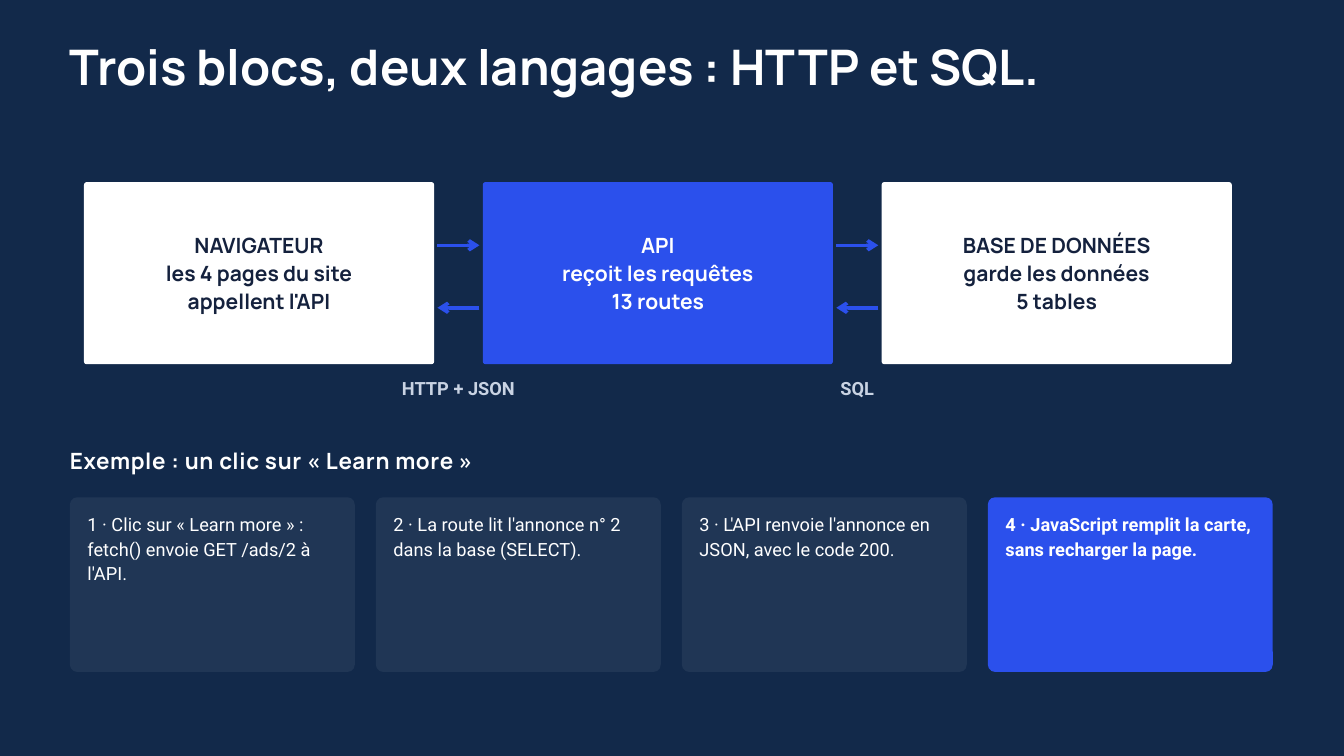
from dataclasses import dataclass

import pptx
import pptx.dml.color
import pptx.enum.shapes
import pptx.enum.text
import pptx.oxml.ns
import pptx.util
from lxml import etree

Inches = pptx.util.Inches
Pt = pptx.util.Pt
Align = pptx.enum.text.PP_ALIGN
Anchor = pptx.enum.text.MSO_ANCHOR


@dataclass(frozen=True)
class Theme:
    """Colours, fonts and type sizes of the slide."""
    page: str = "12294A"
    white: str = "FFFFFF"
    ink: str = "14213D"
    accent: str = "2B50EC"
    card: str = "203655"
    caption: str = "C9D3E3"
    display: str = "Manrope"
    body: str = "Roboto"
    title_size: float = 52.5
    heading_size: float = 24
    block_size: float = 22.5
    body_size: float = 19.5


THEME = Theme()


def rgb(colour):
    """Return a colour object for a hex string."""
    return pptx.dml.color.RGBColor.from_string(colour)


def write(frame, lines, font, size, colour, leading, bold=True,
          align=Align.LEFT, anchor=Anchor.TOP, insets=(0, 0, 0, 0)):
    """Fill a text frame with equally formatted paragraphs."""
    frame.word_wrap = True
    frame.auto_size = pptx.enum.text.MSO_AUTO_SIZE.NONE
    frame.vertical_anchor = anchor
    (frame.margin_left, frame.margin_top,
     frame.margin_right, frame.margin_bottom) = map(Inches, insets)
    frame.text = "\n".join(lines)
    for para in frame.paragraphs:
        para.alignment = align
        para.line_spacing = Pt(leading)
        para.space_before = Pt(0)
        para.font.name = font
        para.font.size = Pt(size)
        para.font.bold = bold
        para.font.color.rgb = rgb(colour)


def add_panel(page, box, fill, radius):
    """Add a plain rounded rectangle with a corner radius in inches."""
    panel = page.shapes.add_shape(
        pptx.enum.shapes.MSO_SHAPE.ROUNDED_RECTANGLE, *map(Inches, box))
    panel.adjustments[0] = radius / min(box[2:])
    panel.shadow.inherit = False
    panel.fill.solid()
    panel.fill.fore_color.rgb = rgb(fill)
    panel.line.fill.background()
    return panel


def add_arrow(page, start, end, y):
    """Add a horizontal arrow that points at its end."""
    arrow = page.shapes.add_connector(
        pptx.enum.shapes.MSO_CONNECTOR.STRAIGHT,
        Inches(start), Inches(y), Inches(end), Inches(y))
    arrow.line.color.rgb = rgb(THEME.accent)
    arrow.line.width = Pt(3.75)
    qn = pptx.oxml.ns.qn
    etree.SubElement(arrow.line._get_or_add_ln(), qn("a:tailEnd"), type="arrow")
    etree.SubElement(arrow._element.spPr, qn("a:effectLst"))


def add_title(page, box, text):
    """Place and format the title placeholder."""
    title = page.shapes.title
    title.left, title.top, title.width, title.height = map(Inches, box)
    write(title.text_frame, [text], THEME.display, THEME.title_size,
          THEME.white, 55.1)


def add_heading(page, box, text):
    """Add the letter-spaced heading above the steps."""
    heading = page.shapes.add_textbox(*map(Inches, box))
    write(heading.text_frame, [text], THEME.display, THEME.heading_size,
          THEME.white, 33.6)
    for span in heading.text_frame.paragraphs[0].runs:
        span._r.get_or_add_rPr().set("spc", "70")


def add_architecture(page, box, blocks, protocols):
    """Add a row of blocks with paired arrows and a caption at each gap."""
    left, top, width, height = box
    block_width, margin, caption_width = 5.21, 0.05, 2.4
    gap = (width - len(blocks) * block_width) / (len(blocks) - 1)
    pitch = block_width + gap
    for index, (lines, fill, colour) in enumerate(blocks):
        block = add_panel(
            page, (left + index * pitch, top, block_width, height), fill, 0.04)
        write(block.text_frame, lines, THEME.display, THEME.block_size, colour,
              30.4, align=Align.CENTER, anchor=Anchor.MIDDLE,
              insets=(0.06, 0.06, 0.06, 0.11))
    for index, protocol in enumerate(protocols):
        gap_left = left + index * pitch + block_width
        start, end = gap_left + margin, gap_left + gap - margin
        add_arrow(page, start, end, top + 0.94)
        add_arrow(page, end, start, top + 1.87)
        caption = page.shapes.add_textbox(
            Inches(gap_left + (gap - caption_width) / 2),
            Inches(top + height + 0.14), Inches(caption_width), Inches(0.38))
        write(caption.text_frame, [protocol], THEME.body, THEME.body_size,
              THEME.caption, 27.3, align=Align.CENTER)


def add_steps(page, box, steps):
    """Add a row of numbered cards, the last one highlighted."""
    left, top, width, height = box
    card_width = 4.24
    pitch = (width - card_width) / (len(steps) - 1)
    for index, step in enumerate(steps):
        last = index == len(steps) - 1
        card = add_panel(page, (left + index * pitch, top, card_width, height),
                         THEME.accent if last else THEME.card, 0.11)
        write(card.text_frame, [f"{index + 1} · {step}"], THEME.body,
              THEME.body_size, THEME.white, 26.3, bold=last,
              insets=(0.23, 0.17, 0.23, 0))


def main():
    """Build and save the deck."""
    deck = pptx.Presentation()
    deck.slide_width, deck.slide_height = Inches(20), Inches(11.25)
    page = deck.slides.add_slide(deck.slide_layouts.get_by_name("Title Only"))
    page.background.fill.solid()
    page.background.fill.fore_color.rgb = rgb(THEME.page)

    add_title(page, (1.04, 0.66, 17.19, 0.84),
              "Trois blocs, deux langages : HTTP et SQL.")
    add_architecture(page, (1.25, 2.71, 17.08, 2.71), [
        (["NAVIGATEUR", "les 4 pages du site", "appellent l'API"],
         THEME.white, THEME.ink),
        (["API", "reçoit les requêtes", "13 routes"],
         THEME.accent, THEME.white),
        (["BASE DE DONNÉES", "garde les données", "5 tables"],
         THEME.white, THEME.ink),
    ], ["HTTP + JSON", "SQL"])
    add_heading(page, (1.04, 6.59, 16.67, 0.46),
                "Exemple : un clic sur « Learn more »")
    add_steps(page, (1.04, 7.4, 17.9, 2.6), [
        "Clic sur « Learn more » : fetch() envoie GET /ads/2 à l'API.",
        "La route lit l'annonce n° 2 dans la base (SELECT).",
        "L'API renvoie l'annonce en JSON, avec le code 200.",
        "JavaScript remplit la carte, sans recharger la page.",
    ])
    deck.save("out.pptx")


if __name__ == "__main__":
    main()
